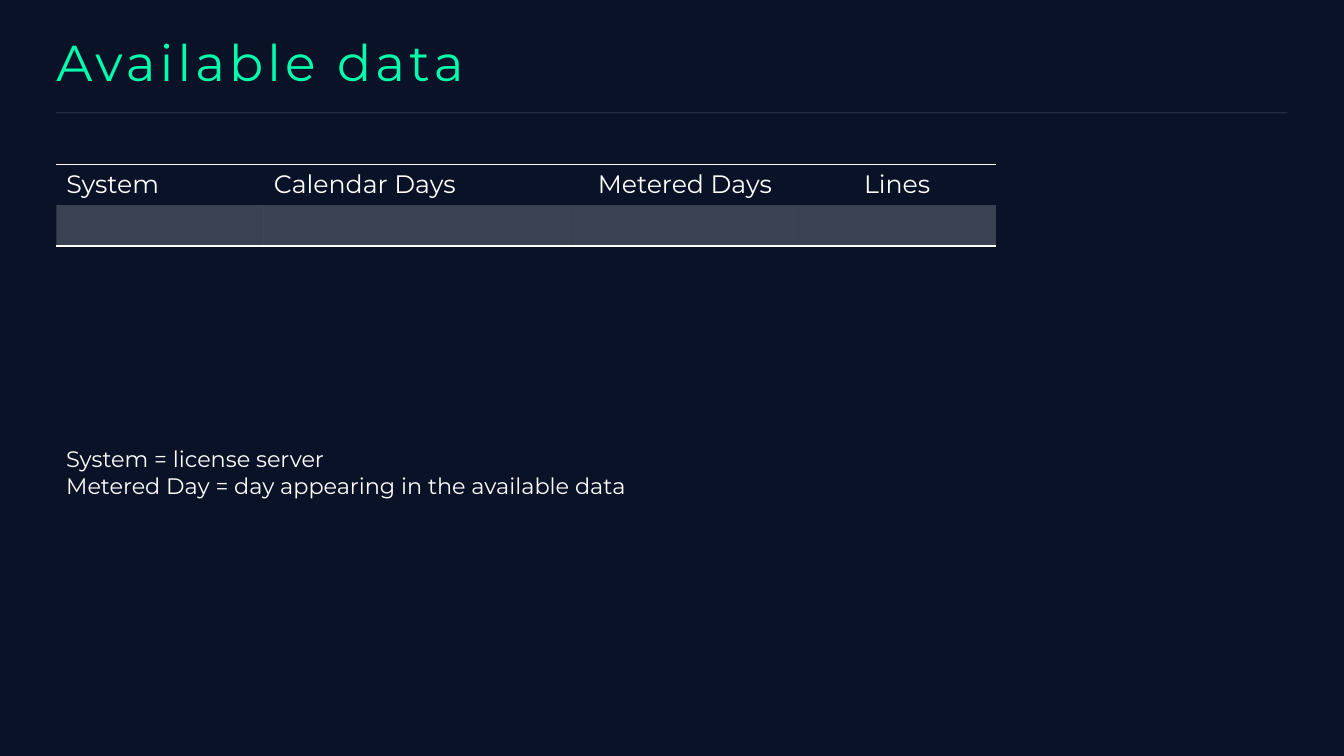
"""Build the "Available data" slide with its metering table and definitions."""
import lxml.etree
import pptx
import pptx.dml.color
import pptx.enum.shapes
import pptx.enum.text
import pptx.oxml.ns
import pptx.util

Cm = pptx.util.Cm
ALIGN = pptx.enum.text.PP_ALIGN
ANCHOR = pptx.enum.text.MSO_ANCHOR

TITLE = "Available data"
COLUMNS = [
    ("System", 5.23, ALIGN.LEFT),
    ("Calendar Days", 7.75, ALIGN.LEFT),
    ("Metered Days", 5.72, ALIGN.CENTER),
    ("Lines", 4.98, ALIGN.CENTER),
]
DEFINITIONS = [
    "System = license server",
    "Metered Day = day appearing in the available data",
]
COLORS = {"background": "091227", "text": "FFFFFF", "title": "00FFAC"}
FONT = "Montserrat"
LEFT = 1.42
ROW_HEIGHT = 1.03


def rgb(name):
    return pptx.dml.color.RGBColor.from_string(COLORS[name])


def add_xml(parent, tag, **attributes):
    return lxml.etree.SubElement(parent, pptx.oxml.ns.qn(tag), attributes)


def set_alpha(fill_parent, percent):
    color = fill_parent.find(".//" + pptx.oxml.ns.qn("a:srgbClr"))
    add_xml(color, "a:alpha", val=str(percent * 1000))


def write(frame, lines, size, color="text", align=None, line_spacing=None, tracking=None):
    for index, line in enumerate(lines):
        para = frame.add_paragraph() if index else frame.paragraphs[0]
        para.alignment = align
        para.line_spacing = line_spacing
        span = para.add_run()
        span.text = line
        span.font.name = FONT
        span.font.size = pptx.util.Pt(size)
        span.font.color.rgb = rgb(color)
        if tracking:
            span.font._element.set("spc", str(tracking * 100))


def set_borders(cell, visible):
    properties = cell._tc.get_or_add_tcPr()
    for position, side in enumerate(("a:lnL", "a:lnR", "a:lnT", "a:lnB")):
        border = add_xml(properties, side, w=str(pptx.util.Pt(1)))
        if side == visible:
            add_xml(add_xml(border, "a:solidFill"), "a:srgbClr", val=COLORS["text"])
        else:
            add_xml(border, "a:noFill")
        properties.insert(position, border)


def add_title(page):
    title = page.shapes.title
    title.left, title.top, title.width, title.height = Cm(LEFT), Cm(0.94), Cm(25.98), Cm(1.4)
    frame = title.text_frame
    frame.margin_left = frame.margin_right = frame.margin_top = frame.margin_bottom = 0
    frame.vertical_anchor = ANCHOR.MIDDLE
    write(frame, [TITLE], 36, color="title", align=ALIGN.LEFT, line_spacing=0.9, tracking=3)


def add_rule(page):
    rule = page.shapes.add_connector(
        pptx.enum.shapes.MSO_CONNECTOR.STRAIGHT, Cm(LEFT), Cm(2.84), Cm(32.44), Cm(2.84))
    rule.line.width = pptx.util.Pt(1)
    rule.line.color.rgb = rgb("text")
    set_alpha(rule._element.spPr, 10)
    add_xml(rule._element.spPr, "a:effectLst")


def add_data_table(page):
    width = sum(column[1] for column in COLUMNS)
    table = page.shapes.add_table(
        2, len(COLUMNS), Cm(LEFT), Cm(4.14), Cm(width), Cm(2 * ROW_HEIGHT)).table
    table.first_row = table.horz_banding = False
    for index, (heading, column_width, align) in enumerate(COLUMNS):
        table.columns[index].width = Cm(column_width)
        header, value = table.cell(0, index), table.cell(1, index)
        write(header.text_frame, [heading], 18, align=align)
        header.fill.background()
        value.fill.solid()
        value.fill.fore_color.rgb = rgb("text")
        set_alpha(value._tc.tcPr, 20)
        set_borders(header, "a:lnT")
        set_borders(value, "a:lnB")


def add_definitions(page):
    box = page.shapes.add_textbox(Cm(LEFT), Cm(11.1), Cm(28.37), Cm(1.63))
    box.text_frame.word_wrap = True
    write(box.text_frame, DEFINITIONS, 16)


def main():
    deck = pptx.Presentation()
    deck.slide_width, deck.slide_height = Cm(33.87), Cm(19.05)
    page = deck.slides.add_slide(deck.slide_layouts.get_by_name("Title Only"))
    page.background.fill.solid()
    page.background.fill.fore_color.rgb = rgb("background")
    add_rule(page)
    add_data_table(page)
    add_title(page)
    add_definitions(page)
    deck.save("out.pptx")


if __name__ == "__main__":
    main()
